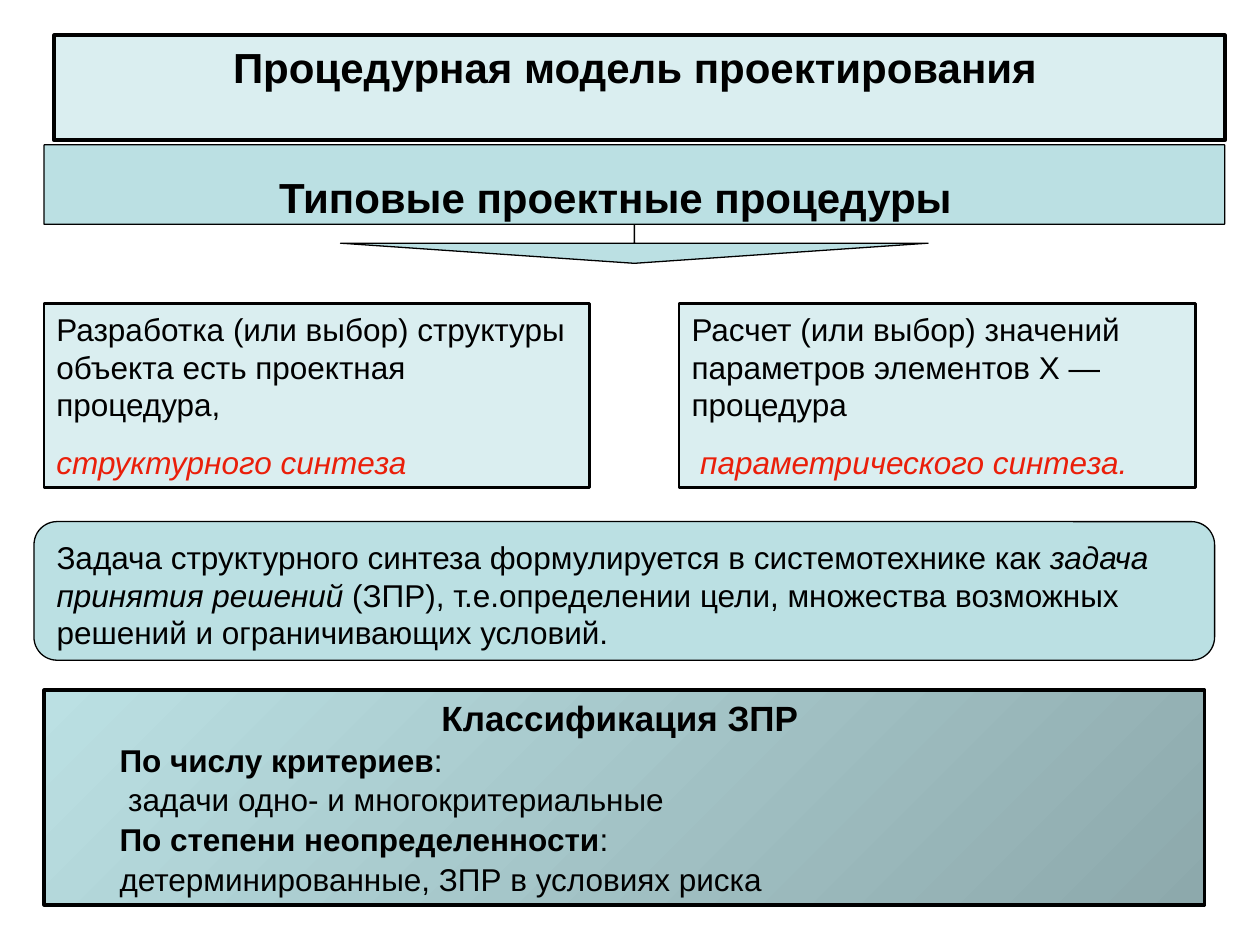
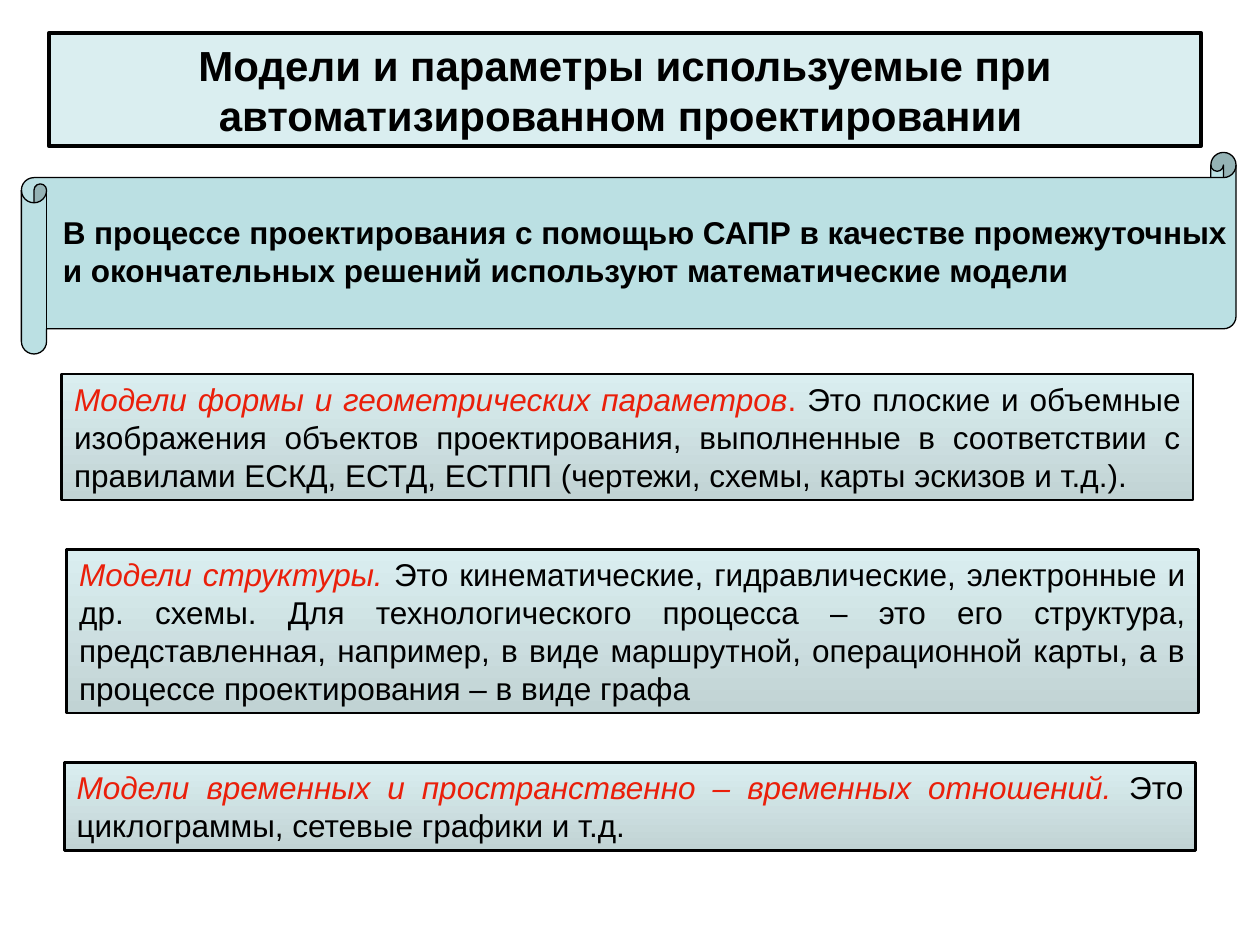
from dataclasses import dataclass
from typing import NamedTuple, Optional

from pptx import Presentation
from pptx.dml.color import RGBColor
from pptx.enum.shapes import MSO_SHAPE
from pptx.enum.text import MSO_ANCHOR, MSO_AUTO_SIZE, PP_ALIGN
from pptx.util import Emu, Inches, Pt

RECTANGLE = MSO_SHAPE.RECTANGLE
ROUNDED = MSO_SHAPE.ROUNDED_RECTANGLE
CALLOUT = MSO_SHAPE.DOWN_ARROW_CALLOUT
SCROLL = MSO_SHAPE.HORIZONTAL_SCROLL
LEFT, CENTER, JUSTIFY = PP_ALIGN.LEFT, PP_ALIGN.CENTER, PP_ALIGN.JUSTIFY
TOP = MSO_ANCHOR.TOP
FIT_SHAPE = MSO_AUTO_SIZE.SHAPE_TO_FIT_TEXT

SLIDE_WIDTH, SLIDE_HEIGHT = Inches(10), Inches(7.5)
COLUMNS, ROWS = 100, 75
TITLE_ONLY = 5
FONT = "Arial"
BLACK, RED = "000000", "EA1F0A"
TEAL, PALE = "BBE0E3", "DAEEF0"
DARK_TEAL, GREY_TEAL = "8DA9AC", "C1D3D4"
THIN, MEDIUM, THICK = 0.75, 1.5, 2.25
BODY_SIZE, SUBTITLE_SIZE, TITLE_SIZE = 18, 20, 24
SPACE_BEFORE, LIST_SPACE = 11.2, 1.1
LIST_INDENT = Inches(0.5)


class Area(NamedTuple):
    column: float
    row: float
    columns: float
    rows: float


class Gradient(NamedTuple):
    start: str
    end: str
    angle: float


class Piece(NamedTuple):
    text: str
    color: str = BLACK
    bold: bool = False
    italic: bool = False
    size: float = BODY_SIZE


@dataclass
class Line:
    pieces: list[Piece]
    align: PP_ALIGN = LEFT
    space_before: float = SPACE_BEFORE
    indented: bool = False


@dataclass
class Panel:
    area: Area
    fill: str | Gradient
    border: float
    lines: Optional[list[Line]] = None
    preset: MSO_SHAPE = RECTANGLE
    adjustments: tuple[float, ...] = ()


class ModelCard(NamedTuple):
    column: float
    rows: float
    pieces: list[Piece]


CARD_FILL = Gradient(PALE, GREY_TEAL, 270)
CARD_TOP, CARD_GAP, CARD_COLUMNS = 29.7, 3.9, 89.8


def rgb(value: str) -> RGBColor:
    return RGBColor.from_string(value)


def place(shape, area: Area) -> None:
    shape.left = Emu(round(SLIDE_WIDTH * area.column / COLUMNS))
    shape.top = Emu(round(SLIDE_HEIGHT * area.row / ROWS))
    shape.width = Emu(round(SLIDE_WIDTH * area.columns / COLUMNS))
    shape.height = Emu(round(SLIDE_HEIGHT * area.rows / ROWS))


def paint(shape, fill: str | Gradient, border: float) -> None:
    shape.shadow.inherit = False
    if isinstance(fill, Gradient):
        shape.fill.gradient()
        shape.fill.gradient_angle = fill.angle
        for stop, color in zip(shape.fill.gradient_stops, (fill.start, fill.end)):
            stop.color.rgb = rgb(color)
    else:
        shape.fill.solid()
        shape.fill.fore_color.rgb = rgb(fill)
    shape.line.color.rgb = rgb(BLACK)
    shape.line.width = Pt(border)


def write(shape, lines: list[Line]) -> None:
    frame = shape.text_frame
    frame.word_wrap = True
    frame.auto_size = FIT_SHAPE
    frame.vertical_anchor = TOP
    frame.margin_left = frame.margin_right = Inches(0.1)
    frame.margin_top = frame.margin_bottom = Inches(0.05)
    for index, line in enumerate(lines):
        paragraph = frame.add_paragraph() if index else frame.paragraphs[0]
        paragraph.alignment = line.align
        paragraph.space_before = Pt(line.space_before if index else 0)
        if line.indented:
            paragraph.level = 1
            properties = paragraph._p.get_or_add_pPr()
            properties.set("marL", str(LIST_INDENT))
            properties.set("indent", "0")
        for piece in line.pieces:
            run = paragraph.add_run()
            run.text = piece.text
            run.font.name = FONT
            run.font.size = Pt(piece.size)
            run.font.bold = piece.bold
            run.font.italic = piece.italic
            run.font.color.rgb = rgb(piece.color)


def add_panel(slide, panel: Panel) -> None:
    shape = slide.shapes.add_shape(panel.preset, 0, 0, 0, 0)
    place(shape, panel.area)
    paint(shape, panel.fill, panel.border)
    for index, value in enumerate(panel.adjustments):
        shape.adjustments[index] = value
    if panel.lines:
        write(shape, panel.lines)


def add_text(slide, area: Area, line: Line) -> None:
    box = slide.shapes.add_textbox(0, 0, 0, 0)
    place(box, area)
    write(box, [line])


def heading(text: str, size: float = TITLE_SIZE) -> Line:
    return Line([Piece(text, bold=True, size=size), Piece(" ")], CENTER)


def add_titled_slide(presentation, title: str, area: Area):
    slide = presentation.slides.add_slide(presentation.slide_layouts[TITLE_ONLY])
    shape = slide.shapes.title
    place(shape, area)
    paint(shape, PALE, THICK)
    write(shape, [heading(title)])
    return slide


def synthesis_panel(column: float, columns: float, text: str, result: str) -> Panel:
    lines = [Line([Piece(text)]), Line([Piece(result, RED, italic=True)])]
    return Panel(Area(column, 24.1, columns, 14.6), PALE, MEDIUM, lines)


def list_line(*pieces: Piece) -> Line:
    return Line(list(pieces), space_before=LIST_SPACE, indented=True)


def build_procedures(presentation) -> None:
    slide = add_titled_slide(
        presentation, "Процедурная модель проектирования", Area(4.3, 2.8, 92.9, 5)
    )
    classification = [
        heading("Классификация ЗПР", SUBTITLE_SIZE),
        list_line(Piece("По числу критериев", bold=True), Piece(":")),
        list_line(Piece(" задачи одно- и многокритериальные")),
        list_line(Piece("По степени неопределенности", bold=True), Piece(":")),
        list_line(Piece("детерминированные, ЗПР в условиях риска")),
    ]
    panels = [
        Panel(Area(3.5, 11.5, 93.7, 9.4), TEAL, THIN, preset=CALLOUT,
              adjustments=(0, 2.48, 0.17, 0.67)),
        Panel(Area(2.7, 41.4, 93.7, 11), TEAL, THIN, preset=ROUNDED),
        synthesis_panel(
            3.5, 43.3,
            "Разработка (или выбор) структуры объекта есть проектная процедура,",
            "структурного синтеза",
        ),
        synthesis_panel(
            53.9, 41,
            "Расчет (или выбор) значений параметров элементов X — процедура",
            " параметрического синтеза.",
        ),
        Panel(Area(3.5, 54.8, 92.1, 17), Gradient(DARK_TEAL, TEAL, 135), THICK,
              classification),
    ]
    for panel in panels:
        add_panel(slide, panel)
    add_text(slide, Area(17.7, 13.1, 63, 5), heading("Типовые проектные процедуры"))
    add_text(slide, Area(3.5, 42.2, 89.8, 10), Line([
        Piece("Задача структурного синтеза формулируется в системотехнике как "),
        Piece("задача принятия решений ", italic=True),
        Piece("(ЗПР), т.е.определении цели, множества возможных решений "
              "и ограничивающих условий."),
    ]))


def build_models(presentation) -> None:
    slide = add_titled_slide(
        presentation,
        "Модели и параметры используемые при автоматизированном проектировании",
        Area(3.9, 2.6, 91.4, 9),
    )
    add_panel(slide, Panel(Area(1.7, 12.1, 96.4, 16), TEAL, THIN, preset=SCROLL))
    add_text(slide, Area(4, 16.4, 96, 7), Line([
        Piece("В процессе проектирования с помощью САПР в качестве промежуточных "
              "и окончательных решений используют математические модели", bold=True),
    ]))
    cards = [
        ModelCard(4.9, 10, [
            Piece("Модели формы и геометрических параметров", RED, italic=True),
            Piece(".", RED),
            Piece(" Это плоские и объемные изображения объектов проектирования, "
                  "выполненные в соответствии с правилами ЕСКД, ЕСТД, ЕСТПП "
                  "(чертежи, схемы, карты эскизов и т.д.)."),
        ]),
        ModelCard(5.3, 13, [
            Piece("Модели структуры. ", RED, italic=True),
            Piece("Это кинематические, гидравлические, электронные и др. схемы. "
                  "Для технологического процесса – это его структура, "
                  "представленная, например, в виде маршрутной, операционной "
                  "карты, а в процессе проектирования – в виде графа"),
        ]),
        ModelCard(5.1, 7, [
            Piece("Модели временных и пространственно – временных отношений. ",
                  RED, italic=True),
            Piece("Это циклограммы, сетевые графики и т.д."),
        ]),
    ]
    row = CARD_TOP
    for card in cards:
        area = Area(card.column, row, CARD_COLUMNS, card.rows)
        add_panel(slide, Panel(area, CARD_FILL, MEDIUM, [Line(card.pieces, JUSTIFY)]))
        row += card.rows + CARD_GAP


def main() -> None:
    presentation = Presentation()
    presentation.slide_width = SLIDE_WIDTH
    presentation.slide_height = SLIDE_HEIGHT
    build_procedures(presentation)
    build_models(presentation)
    presentation.save("out.pptx")


if __name__ == "__main__":
    main()
